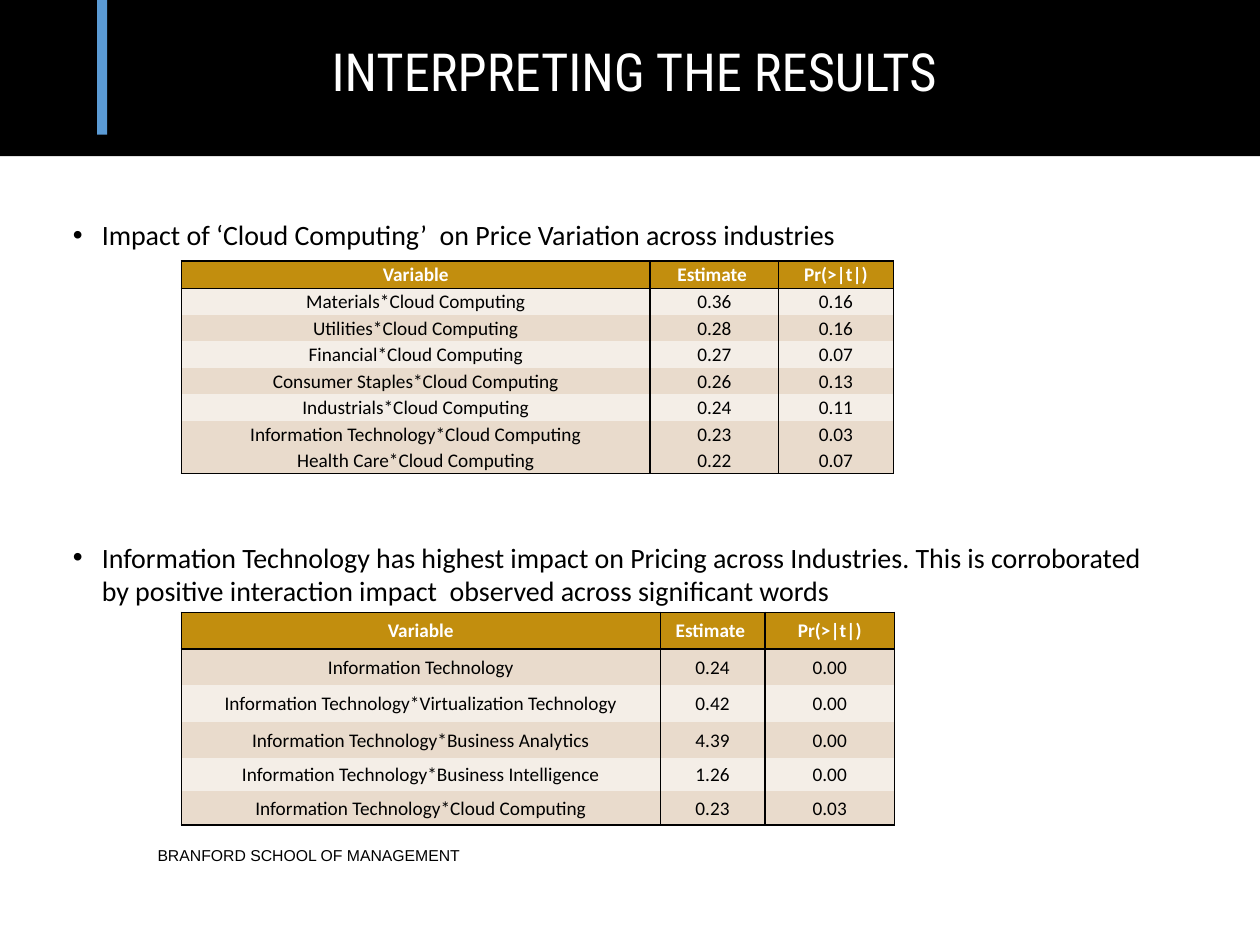
"""Build a slide of regression results with two tables of estimates."""
import dataclasses

import lxml.etree
import pptx
import pptx.dml.color
import pptx.enum.shapes
import pptx.enum.text
import pptx.oxml.ns
import pptx.util

Inches = pptx.util.Inches
Pt = pptx.util.Pt
Align = pptx.enum.text.PP_ALIGN

BLACK = "000000"
WHITE = "FFFFFF"
GOLD = "C28E0E"
LIGHT = "F4EEE7"
DARK = "E9DBCC"
HEADER = ("Variable", "Estimate ", "Pr(>|t|)")
CELL_MARGINS = {"margin_left": Inches(0.01), "margin_right": Inches(0.01),
                "margin_top": Inches(0.01), "margin_bottom": 0}
NO_MARGINS = dict.fromkeys(CELL_MARGINS, 0)


@dataclasses.dataclass
class Label:
    text: str
    area: tuple
    size: float
    font: str
    color: str = BLACK
    align: Align = Align.LEFT
    bullet: bool = False


@dataclasses.dataclass
class Estimates:
    area: tuple
    columns: tuple
    heights: list
    bands: list
    rows: list


LABELS = [
    Label("Impact of ‘Cloud Computing’  on Price Variation across industries",
          (0.48, 1.68, 8.86, 0.37), 16, "Calibri", bullet=True),
    Label("Information Technology has highest impact on Pricing across Industries. "
          "This is corroborated by positive interaction impact  observed across significant words",
          (0.48, 4.24, 8.86, 0.64), 16, "Calibri", bullet=True),
    Label("BRANFORD SCHOOL OF MANAGEMENT", (1.25, 6.73, 5.49, 0.27), 9, "Arial"),
    Label("INTERPRETING THE RESULTS", (1.25, 0.37, 7.57, 0.44), 30,
          "Roboto Condensed", WHITE, Align.CENTER),
]

TABLES = [
    Estimates((1.44, 2.07, 5.65, 1.68), (3.72, 1.02, 0.91), [0.22] + [0.21] * 7,
              [LIGHT, DARK] * 3 + [DARK], [
        ("Materials*Cloud Computing", "0.36", "0.16"),
        ("Utilities*Cloud Computing", "0.28", "0.16"),
        ("Financial*Cloud Computing", "0.27", "0.07"),
        ("Consumer Staples*Cloud Computing", "0.26", "0.13"),
        ("Industrials*Cloud Computing", "0.24", "0.11"),
        ("Information Technology*Cloud Computing", "0.23", "0.03"),
        ("Health Care*Cloud Computing", "0.22", "0.07"),
    ]),
    Estimates((1.44, 4.86, 5.66, 1.68), (3.8, 0.83, 1.03), [0.29] * 4 + [0.26, 0.27],
              [DARK, LIGHT] * 2 + [DARK], [
        ("Information Technology", "0.24", "0.00"),
        ("Information Technology*Virtualization Technology", "0.42", "0.00"),
        ("Information Technology*Business Analytics", "4.39", "0.00"),
        ("Information Technology*Business Intelligence", "1.26", "0.00"),
        ("Information Technology*Cloud Computing", "0.23", "0.03"),
    ]),
]


def set_all(target, values: dict) -> None:
    for name, value in values.items():
        setattr(target, name, value)


def paint(color_owner, color: str) -> None:
    color_owner.rgb = pptx.dml.color.RGBColor.from_string(color)


def fill(owner, color: str) -> None:
    owner.fill.solid()
    paint(owner.fill.fore_color, color)


def child(parent, tag: str, **attributes: str):
    return lxml.etree.SubElement(parent, pptx.oxml.ns.qn(tag), attributes)


def write(para, text: str, color: str, **formats) -> None:
    span = para.add_run()
    span.text = text
    set_all(span.font, formats)
    paint(span.font.color, color)


def add_block(page, area: tuple, color: str) -> None:
    box = page.shapes.add_shape(pptx.enum.shapes.MSO_SHAPE.RECTANGLE, *map(Inches, area))
    box.shadow.inherit = False
    box.line.fill.background()
    fill(box, color)


def add_label(page, label: Label) -> None:
    frame = page.shapes.add_textbox(*map(Inches, label.area)).text_frame
    frame.word_wrap = True
    para = frame.paragraphs[0]
    para.alignment = label.align
    if label.bullet:
        properties = para._p.get_or_add_pPr()
        properties.set("marL", str(Inches(0.23)))
        properties.set("indent", str(-Inches(0.23)))
        child(properties, "a:buFont", typeface="Arial")
        child(properties, "a:buChar", char="•")
    else:
        set_all(frame, NO_MARGINS)
        para.line_spacing = 0.9
    write(para, label.text, label.color, size=Pt(label.size), name=label.font)


def add_borders(cell, top: bool, bottom: bool) -> None:
    properties = cell._tc.get_or_add_tcPr()
    sides = {"a:lnL": True, "a:lnR": True, "a:lnT": top, "a:lnB": bottom}
    for index, (tag, visible) in enumerate(sides.items()):
        line = child(properties, tag, w=str(Pt(1)))
        if visible:
            child(child(line, "a:solidFill"), "a:srgbClr", val=BLACK)
        else:
            child(line, "a:noFill")
        properties.insert(index, line)


def add_estimates(page, estimates: Estimates) -> None:
    rows = [HEADER] + estimates.rows
    table = page.shapes.add_table(len(rows), len(HEADER), *map(Inches, estimates.area)).table
    set_all(table, {"first_row": False, "horz_banding": False})
    for column, width in zip(table.columns, estimates.columns):
        column.width = Inches(width)
    for index, (values, height, band) in enumerate(
            zip(rows, estimates.heights, [GOLD] + estimates.bands)):
        table.rows[index].height = Inches(height)
        heading = index == 0
        for position, value in enumerate(values):
            cell = table.cell(index, position)
            set_all(cell, CELL_MARGINS)
            cell.vertical_anchor = pptx.enum.text.MSO_ANCHOR.MIDDLE
            fill(cell, band)
            add_borders(cell, top=index < 2, bottom=heading or index == len(rows) - 1)
            para = cell.text_frame.paragraphs[0]
            para.alignment = Align.CENTER
            write(para, value, WHITE if heading else BLACK,
                  size=Pt(11), name="Calibri", bold=heading)


def main() -> None:
    deck = pptx.Presentation()
    set_all(deck, {"slide_width": Inches(10), "slide_height": Inches(7.5)})
    page = deck.slides.add_slide(deck.slide_layouts[6])
    add_block(page, (0, 0, 10, 1.24), BLACK)
    add_block(page, (0.77, 0, 0.08, 1.07), "5B9BD5")
    for estimates in TABLES:
        add_estimates(page, estimates)
    for label in LABELS:
        add_label(page, label)
    deck.save("out.pptx")


if __name__ == "__main__":
    main()
